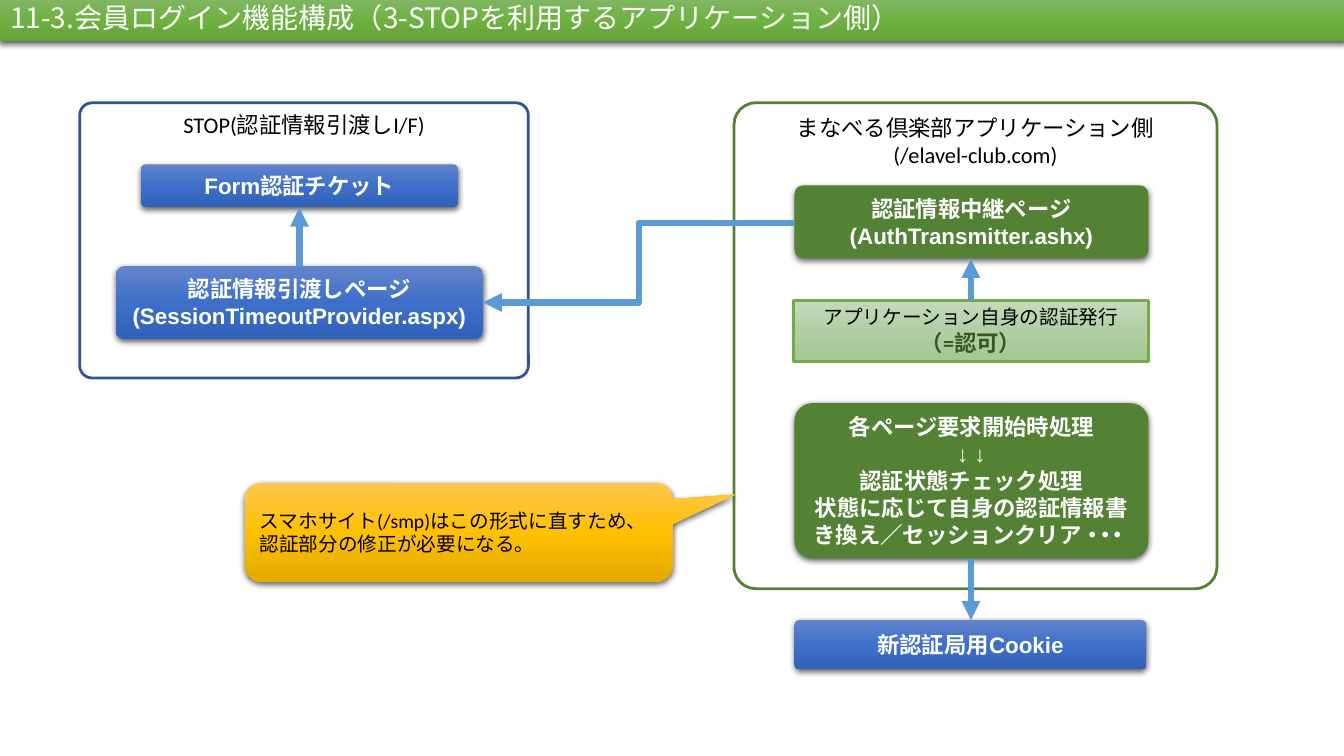
from lxml import etree
from pptx import Presentation
from pptx.dml.color import RGBColor
from pptx.enum.shapes import MSO_CONNECTOR, MSO_SHAPE
from pptx.enum.text import MSO_ANCHOR, MSO_AUTO_SIZE, PP_ALIGN
from pptx.oxml.ns import qn
from pptx.util import Inches, Pt

RECT, ROUND = MSO_SHAPE.RECTANGLE, MSO_SHAPE.ROUNDED_RECTANGLE
CALLOUT = MSO_SHAPE.ROUNDED_RECTANGULAR_CALLOUT
STRAIGHT, ELBOW = MSO_CONNECTOR.STRAIGHT, MSO_CONNECTOR.ELBOW
TOP, MIDDLE = MSO_ANCHOR.TOP, MSO_ANCHOR.MIDDLE
LEFT, CENTER = PP_ALIGN.LEFT, PP_ALIGN.CENTER
NO_FIT = MSO_AUTO_SIZE.NONE

COLORS = {
    "text": "000000", "white": "FFFFFF", "navy": "2F5597", "green": "548235",
    "arrow": "5B9BD5", "note_line": "70AD47", "note_text": "385723",
}
GRADIENTS = {
    "blue": ("6384CB", "3E70CA", "3162BA"),
    "pale": ("C5DBBC", "B1CEA4", "A2C890"),
    "title": ("82B664", "6FB242", "62A336"),
    "amber": ("FFC752", "FFC000", "E3AB00"),
}


def rgb(name):
    """Return the named colour."""
    return RGBColor.from_string(COLORS[name])


def add_node(parent, tag, **attrs):
    """Append a drawing element with its attributes."""
    return etree.SubElement(parent, qn(tag), {k: str(v) for k, v in attrs.items()})


def set_fill(s, fill):
    """Give a shape a vertical gradient, a plain colour or no fill."""
    if fill in GRADIENTS:
        s.fill.gradient()
        s.fill.gradient_angle = 270
        stops = s._element.spPr.find(".//" + qn("a:gsLst"))
        for gs in list(stops):
            stops.remove(gs)
        for i, color in enumerate(GRADIENTS[fill]):
            add_node(add_node(stops, "a:gs", pos=i * 50000), "a:srgbClr", val=color)
    elif fill:
        s.fill.solid()
        s.fill.fore_color.rgb = rgb(fill)
    else:
        s.fill.background()


def set_line(s, line, width):
    """Outline a shape, or remove its outline."""
    if line:
        s.line.color.rgb = rgb(line)
        s.line.width = Pt(width)
    else:
        s.line.fill.background()


def set_shadow(s, shown):
    """Replace the theme shadow with a soft one below, or none."""
    s.shadow.inherit = False
    if shown:
        effects = s._element.spPr.find(qn("a:effectLst"))
        shadow = add_node(effects, "a:outerShdw", blurRad=Pt(4.5), dist=Pt(1.5),
                          dir=5400000, algn="ctr", rotWithShape=0)
        color = add_node(shadow, "a:srgbClr", val=COLORS["text"])
        add_node(color, "a:alpha", val=63000)


def set_text(s, lines, font, size, color, bold=False, align=CENTER, anchor=MIDDLE):
    """Write one paragraph for each line."""
    tf = s.text_frame
    tf.word_wrap = True
    tf.vertical_anchor = anchor
    for i, line in enumerate(lines):
        p = tf.add_paragraph() if i else tf.paragraphs[0]
        p.text = line
        p.alignment = align
        p.font.name, p.font.size, p.font.bold = font, Pt(size), bold
        p.font.color.rgb = rgb(color)


def add_box(slide, kind, box, fill=None, line=None, width=2, adj=(), shadow=False):
    """Add a styled shape in the given box."""
    s = slide.shapes.add_shape(kind, *map(Inches, box))
    for i, value in enumerate(adj):
        s.adjustments[i] = value
    set_fill(s, fill)
    set_line(s, line, width)
    set_shadow(s, shadow)
    return s


def add_frame(slide, box, line, lines):
    """Add an outlined region with its heading."""
    s = add_box(slide, ROUND, box, line=line, adj=[0.045])
    set_text(s, lines, "Calibri", 16, "text", anchor=TOP)


def add_step(slide, box, fill, lines):
    """Add a raised step with bold white text."""
    s = add_box(slide, ROUND, box, fill, adj=[0.114], shadow=True)
    set_text(s, lines, "Arial", 16, "white", bold=True)
    return s


def add_arrow(slide, kind, start, end):
    """Add a thick arrow between two points."""
    c = slide.shapes.add_connector(kind, *map(Inches, (*start, *end)))
    c.line.color.rgb = rgb("arrow")
    c.line.width = Pt(4.5)
    add_node(c.line._get_or_add_ln(), "a:tailEnd", type="triangle")
    add_node(c._element.spPr, "a:effectLst")


def add_title(slide, box, text):
    """Turn the title placeholder into the top bar."""
    s = slide.shapes.title
    s.left, s.top, s.width, s.height = map(Inches, box)
    set_fill(s, "title")
    set_line(s, None, 0)
    set_shadow(s, True)
    set_text(s, [text], "Noto Sans CJK JP", 20, "white", align=LEFT)
    s.text_frame.auto_size = NO_FIT
    s.text_frame.paragraphs[0].line_spacing = 0.9


def add_provider(slide, box):
    """Add the region that hands over authentication data."""
    x, y, w, h = box
    add_frame(slide, box, "navy", ["STOP(認証情報引渡しI/F)"])
    add_step(slide, (x + 0.61, y + 0.61, 3.14, 0.42), "blue", ["Form認証チケット"])
    add_step(slide, (x + 0.36, y + 1.62, 3.64, 0.72), "blue",
             ["認証情報引渡しページ", "(SessionTimeoutProvider.aspx)"])
    add_arrow(slide, STRAIGHT, (x + 2.18, y + 1.62), (x + 2.18, y + 1.04))


def add_application(slide, box):
    """Add the application region and the cookie below it."""
    x, y, w, h = box
    left, mid = x + 0.6, x + 2.35
    add_frame(slide, box, "green",
              ["まなべる倶楽部アプリケーション側", "(/elavel-club.com)"])
    add_step(slide, (left, y + 0.82, 3.51, 0.72), "green",
             ["認証情報中継ページ", "(AuthTransmitter.ashx)"])
    s = add_box(slide, RECT, (left - 0.01, y + 1.96, 3.52, 0.61), "pale",
                "note_line", 2.25)
    set_text(s, ["アプリケーション自身の認証発行", "（=認可）"], "Calibri", 14,
             "text", anchor=TOP)
    p = s.text_frame.paragraphs[1]
    p.font.size, p.font.bold = Pt(16), True
    p.font.color.rgb = rgb("note_text")
    add_step(slide, (left, y + 5.13, 3.49, 0.49), "blue", ["新認証局用Cookie"])
    s = add_step(slide, (left, y + 2.98, 3.51, 1.54), "green",
                 ["各ページ要求開始時処理", "↓ ↓", "認証状態チェック処理",
                  "状態に応じて自身の認証情報書き換え／セッションクリア"])
    r = s.text_frame.paragraphs[3].add_run()
    r.text = "・・・"
    r.font._element.set("spc", "-700")
    add_arrow(slide, STRAIGHT, (mid, y + 1.96), (mid, y + 1.55))
    add_arrow(slide, STRAIGHT, (mid, y + 4.53), (mid, y + 5.13))


def add_callout(slide, box, text):
    """Add the amber remark pointing at the application region."""
    s = add_box(slide, CALLOUT, box, "amber", adj=[0.646, -0.381, 0.167], shadow=True)
    set_text(s, [text], "Calibri", 14, "text", align=LEFT)


def main():
    """Build and save the slide."""
    prs = Presentation()
    prs.slide_width, prs.slide_height = Inches(13.33), Inches(7.5)
    slide = prs.slides.add_slide(prs.slide_layouts[5])
    add_provider(slide, (0.79, 1.02, 4.45, 2.73))
    add_application(slide, (7.28, 1.02, 4.79, 4.82))
    add_arrow(slide, ELBOW, (7.88, 2.21), (4.79, 3))
    add_title(slide, (0, -0.02, 13.33, 0.43),
              "11-3.会員ログイン機能構成（3-STOPを利用するアプリケーション側）")
    add_callout(slide, (2.43, 4.79, 4.24, 0.98),
                "スマホサイト(/smp)はこの形式に直すため、認証部分の修正が必要になる。")
    prs.save("out.pptx")


if __name__ == "__main__":
    main()
